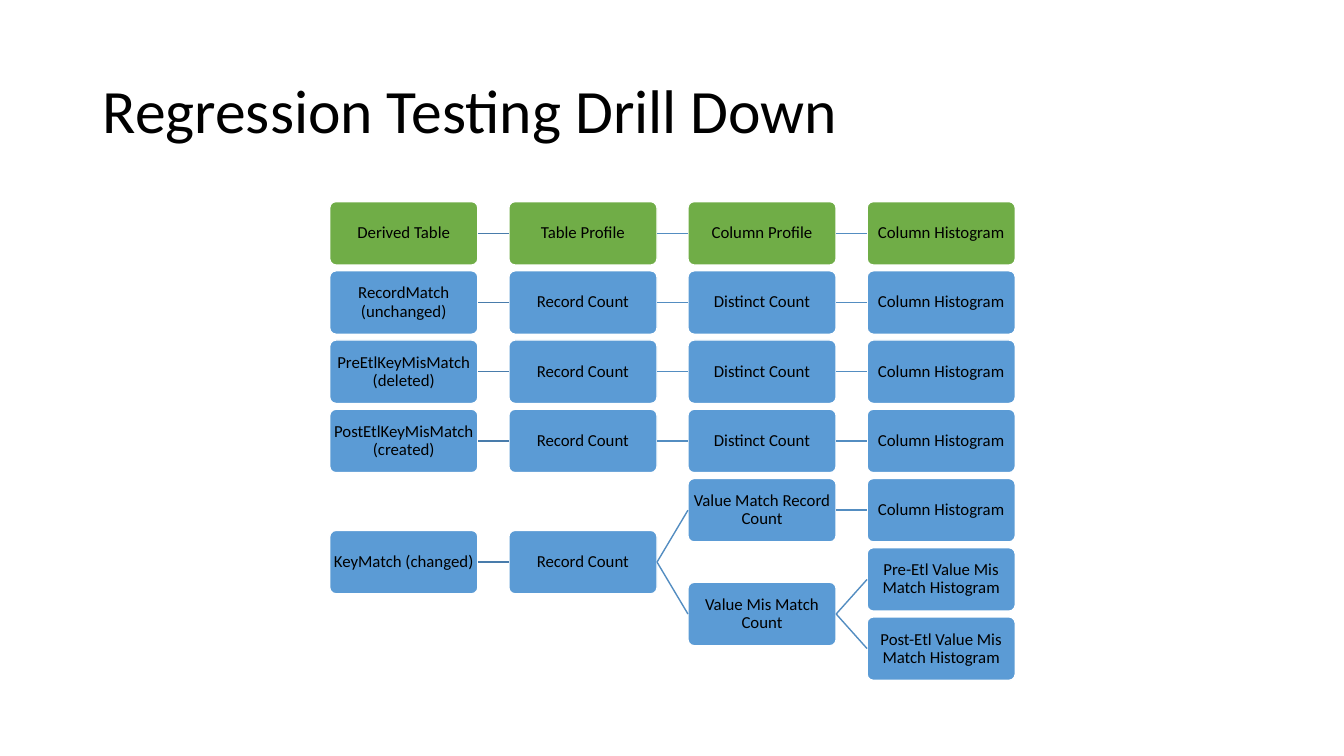
"""Build the regression testing drill-down slide."""
from dataclasses import dataclass

from lxml.etree import SubElement
from pptx import Presentation
from pptx.dml.color import RGBColor as RGB
from pptx.enum.shapes import MSO_CONNECTOR as LINE, MSO_SHAPE as SHAPE
from pptx.enum.text import MSO_ANCHOR as ANCHOR, PP_ALIGN as ALIGN
from pptx.oxml.ns import qn
from pptx.util import Emu, Pt

TITLE = "Regression Testing Drill Down"
HIST = ("Column Histogram",)
COUNTS = ("Record Count", ("Distinct Count", HIST))
TREES = [
    ("Derived Table", ("Table Profile", ("Column Profile", HIST))),
    ("RecordMatch (unchanged)", COUNTS),
    ("PreEtlKeyMisMatch (deleted)", COUNTS),
    ("PostEtlKeyMisMatch (created)", COUNTS),
    ("KeyMatch (changed)",
     ("Record Count",
      ("Value Match Record Count", HIST),
      ("Value Mis Match Count",
       ("Pre-Etl Value Mis Match Histogram",),
       ("Post-Etl Value Mis Match Histogram",)))),
]

PX = 9144
SLIDE_W, SLIDE_H = 1333, 750
TITLE_BOX = (92, 40, 1150, 145)
LEFT, RIGHT, COLS = 327, 860, 4
TOP, BOTTOM, ROWS = 200, 612, 7
BOX_W, BOX_H, INSET = 147, 63, 1
COL_STEP = (RIGHT - LEFT) / (COLS - 1)
ROW_STEP = (BOTTOM - TOP) / (ROWS - 1)


@dataclass(frozen=True)
class Theme:
    """Colours, font and type sizes."""
    font: str = "Calibri"
    title: int = 44
    label: int = 12
    line: int = 1
    text: str = "000000"
    edge: str = "FFFFFF"
    header: str = "70AD47"
    node: str = "5B9BD5"
    first_link: str = "497CAB"
    link: str = "538DC1"


T = Theme()


def emu(*lengths):
    """Turn px into EMU."""
    return [Emu(round(v * PX)) for v in lengths]


def put_text(sp, text, *, size, align=ALIGN.LEFT, inset=None):
    """Write one formatted paragraph into a shape."""
    tf = sp.text_frame
    tf.word_wrap = True
    tf.vertical_anchor = ANCHOR.MIDDLE
    if inset is not None:
        margin, = emu(inset)
        tf.margin_left = tf.margin_right = margin
        tf.margin_top = tf.margin_bottom = margin
    p = tf.paragraphs[0]
    p.alignment, p.line_spacing = align, 0.9
    r = p.add_run()
    r.text = text
    r.font.name, r.font.size = T.font, Pt(size)
    r.font.color.rgb = RGB.from_string(T.text)


def set_line(sp, color):
    """Give a shape or connector its line."""
    sp.line.color.rgb = RGB.from_string(color)
    sp.line.width = Pt(T.line)


def add_node(s, text, x, y, fill):
    """Draw one rounded box."""
    sp = s.shapes.add_shape(SHAPE.ROUNDED_RECTANGLE, *emu(x, y, BOX_W, BOX_H))
    sp.adjustments[0] = 0.1
    sp.shadow.inherit = False
    sp.fill.solid()
    sp.fill.fore_color.rgb = RGB.from_string(fill)
    set_line(sp, T.edge)
    put_text(sp, text, size=T.label, align=ALIGN.CENTER, inset=INSET)


def add_link(s, x, y, child_y, color):
    """Join a box to its child in the next column."""
    mid = BOX_H / 2
    ends = emu(x + BOX_W, y + mid, x + COL_STEP, child_y + mid)
    cxn = s.shapes.add_connector(LINE.STRAIGHT, *ends)
    set_line(cxn, color)
    SubElement(cxn._element.spPr, qn("a:effectLst"))


def add_tree(s, tree, row, fill, col=0):
    """Draw a tree; return its top and the next free row."""
    text, *children = tree
    x, y = LEFT + col * COL_STEP, TOP + row * ROW_STEP
    child_tops = []
    for child in children:
        top, row = add_tree(s, child, row, fill, col + 1)
        child_tops.append(top)
    if child_tops:
        y = sum(child_tops) / len(child_tops)
    else:
        row += 1
    add_node(s, text, x, y, fill)
    for top in child_tops:
        add_link(s, x, y, top, T.link if col else T.first_link)
    return y, row


def main():
    """Assemble and save the slide."""
    prs = Presentation()
    prs.slide_width, prs.slide_height = emu(SLIDE_W, SLIDE_H)
    s = prs.slides.add_slide(prs.slide_layouts[6])
    put_text(s.shapes.add_textbox(*emu(*TITLE_BOX)), TITLE, size=T.title)
    row = 0
    for i, tree in enumerate(TREES):
        _, row = add_tree(s, tree, row, T.node if i else T.header)
    prs.save("out.pptx")


if __name__ == "__main__":
    main()
